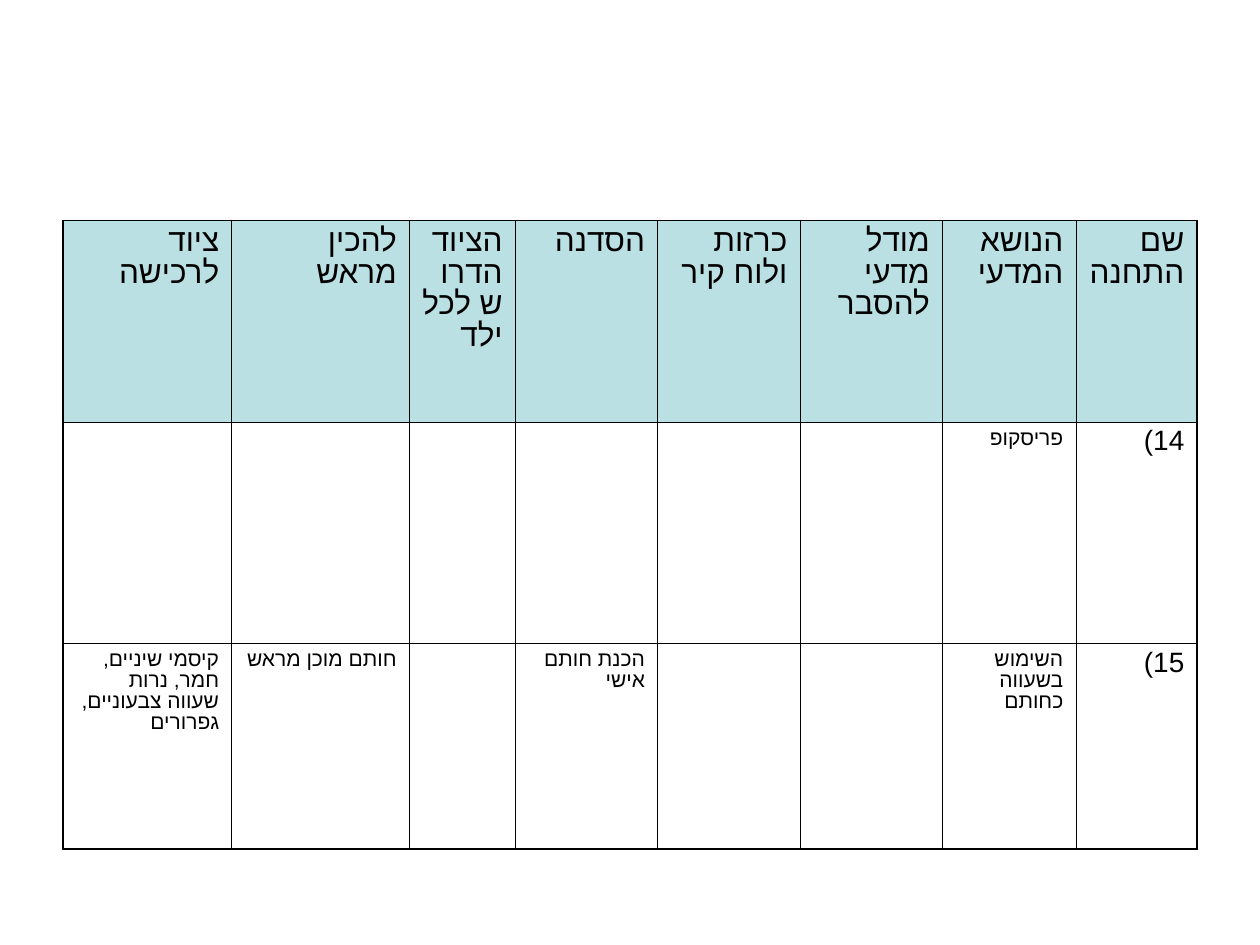
"""Build the slide with the planning table for workshop stations 14 and 15."""
from dataclasses import dataclass

from lxml.etree import SubElement
from pptx import Presentation
from pptx.dml.color import RGBColor
from pptx.enum.text import PP_ALIGN
from pptx.oxml.ns import qn
from pptx.util import Inches, Pt


@dataclass(frozen=True)
class Theme:
    font: str = "Arial"
    ink: str = "000000"
    header_fill: str = "BBE0E3"
    body_fill: str = "FFFFFF"
    header_size: int = 18
    number_size: int = 16
    body_size: int = 12
    line_spacing: float = 0.89
    inner_line: float = 0.45
    outer_line: float = 1.08


class StationSlide:
    def __init__(self, presentation, theme):
        self.theme = theme
        self.slide = presentation.slides.add_slide(presentation.slide_layouts[6])

    def table(self, left, top, widths, heights, rows):
        frame = self.slide.shapes.add_table(
            len(rows), len(widths), Inches(left), Inches(top),
            Inches(sum(widths)), Inches(sum(heights)))
        grid = frame.table
        grid.first_row = grid.horz_banding = False
        for column, width in zip(grid.columns, widths):
            column.width = Inches(width)
        for row, height in zip(grid.rows, heights):
            row.height = Inches(height)
        last_row, last_column = len(heights) - 1, len(widths) - 1
        for r, words in enumerate(rows):
            for c, wording in enumerate(words):
                cell = grid.cell(r, c)
                self.borders(cell, {"lnL": c == 0, "lnR": c == last_column,
                                    "lnT": r == 0, "lnB": r == last_row})
                cell.fill.solid()
                fill = self.theme.body_fill if r else self.theme.header_fill
                cell.fill.fore_color.rgb = RGBColor.from_string(fill)
                if r == 0:
                    size = self.theme.header_size
                elif c == last_column:
                    size = self.theme.number_size
                else:
                    size = self.theme.body_size
                self.text(cell, wording, size)

    def borders(self, cell, outer_sides):
        properties = cell._tc.get_or_add_tcPr()
        for side, outer in outer_sides.items():
            points = self.theme.outer_line if outer else self.theme.inner_line
            line = SubElement(properties, qn(f"a:{side}"), w=str(Pt(points)))
            SubElement(SubElement(line, qn("a:solidFill")), qn("a:srgbClr"),
                       val=self.theme.ink)

    def text(self, cell, wording, size):
        paragraph = cell.text_frame.paragraphs[0]
        layout = {"alignment": PP_ALIGN.RIGHT, "line_spacing": self.theme.line_spacing}
        for name, value in layout.items():
            setattr(paragraph, name, value)
        paragraph._p.get_or_add_pPr().set("rtl", "1")
        if not wording:
            return
        run = paragraph.add_run()
        run.text = wording
        for name, value in {"name": self.theme.font, "size": Pt(size)}.items():
            setattr(run.font, name, value)
        run.font.color.rgb = RGBColor.from_string(self.theme.ink)
        SubElement(run._r.get_or_add_rPr(), qn("a:cs"), typeface=self.theme.font)


def main():
    presentation = Presentation()
    presentation.slide_width, presentation.slide_height = Inches(10), Inches(7.5)
    stations = [
        ["ציוד לרכישה", "להכין מראש", "הציוד הדרוש לכל ילד", "הסדנה",
         "כרזות ולוח קיר", "מודל מדעי להסבר", "הנושא המדעי", "שם התחנה"],
        ["", "", "", "", "", "", "פריסקופ", "14)"],
        ["קיסמי שיניים, חמר, נרות שעווה צבעוניים, גפרורים", "חותם מוכן מראש", "",
         "הכנת חותם אישי", "", "", "השימוש בשעווה כחותם", "15)"],
    ]
    StationSlide(presentation, Theme()).table(
        0.5, 1.75, [1.34, 1.41, 0.84, 1.13, 1.13, 1.13, 1.06, 0.96],
        [1.6, 1.76, 1.63], stations)
    presentation.save("out.pptx")


if __name__ == "__main__":
    main()
